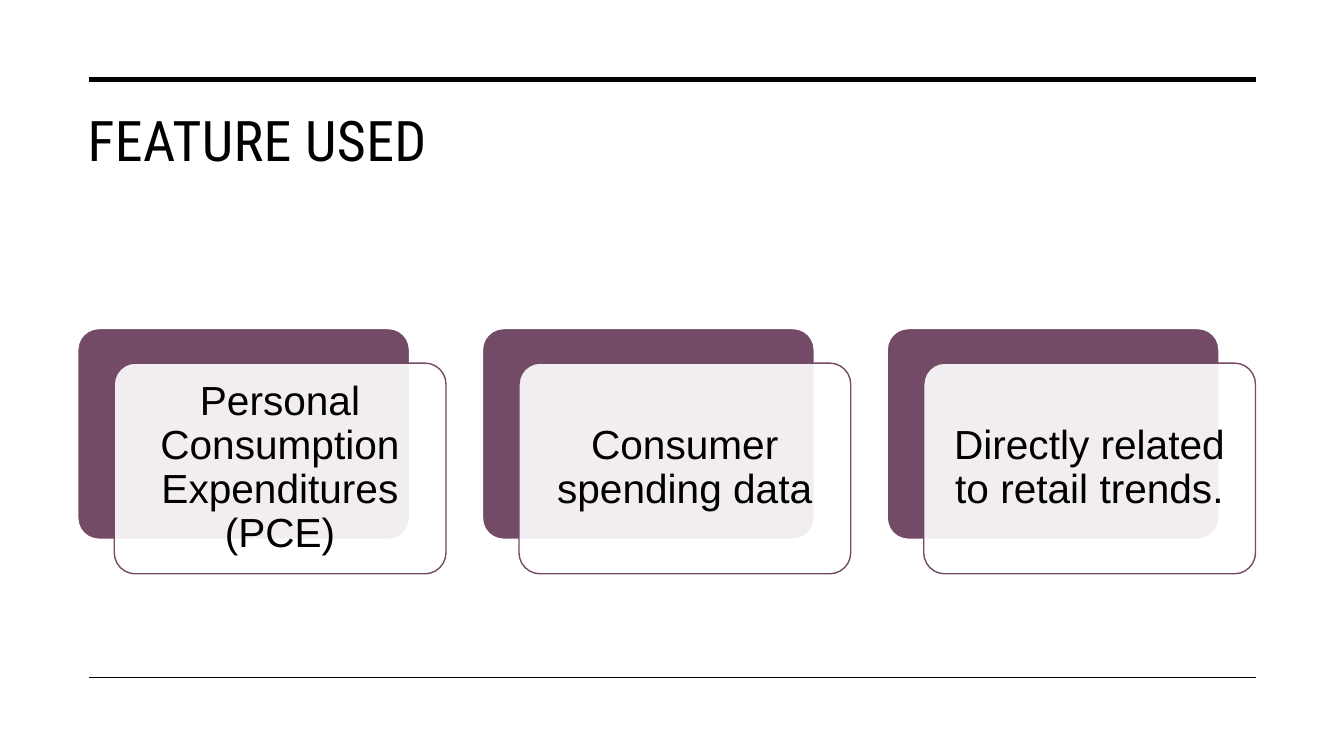
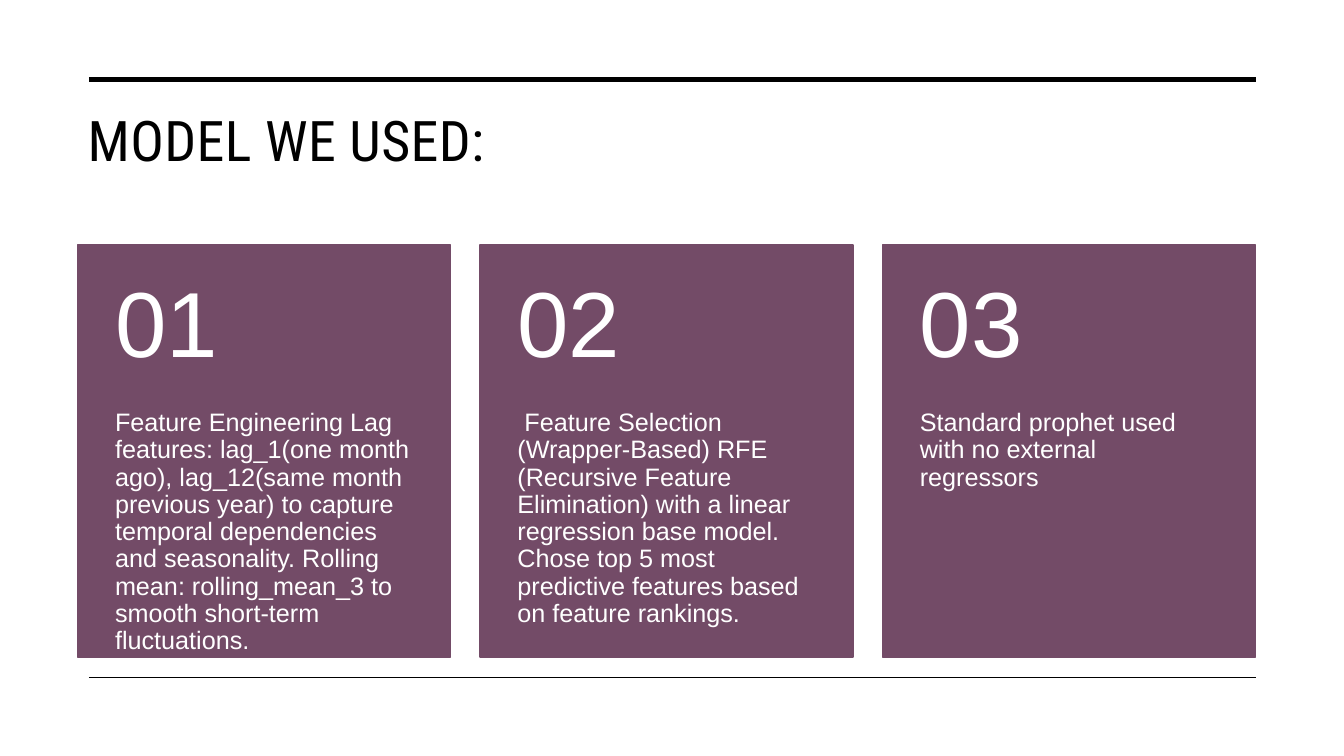
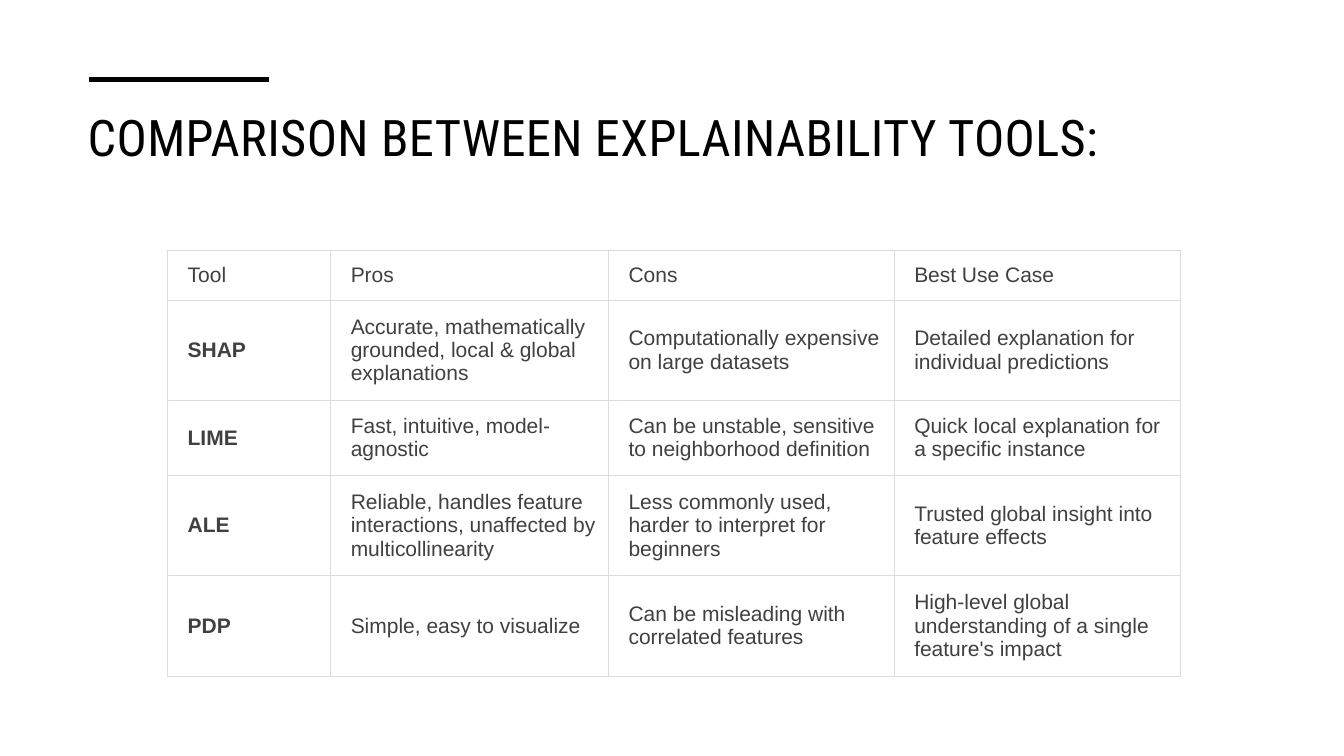
from dataclasses import dataclass

from lxml.etree import SubElement
from pptx import Presentation
from pptx.dml.color import RGBColor
from pptx.enum.shapes import MSO_CONNECTOR, MSO_SHAPE
from pptx.enum.text import MSO_ANCHOR, PP_ALIGN
from pptx.oxml.ns import qn
from pptx.util import Cm, Pt


@dataclass(frozen=True)
class Theme:
    plum: str = "734B67"
    black: str = "000000"
    white: str = "FFFFFF"
    gray: str = "404040"
    rule: str = "D8DEDC"
    head: str = "Roboto Condensed"
    body: str = "Arial"
    title: int = 40
    long: int = 36
    card: int = 29
    note: int = 18
    mark: int = 66
    cell: int = 15


THEME = Theme()
LEFT, RIGHT = 2.24, 31.65
EDGE = 1.96


def rgb(code):
    return RGBColor.from_string(code)


def apply(item, values):
    for name, value in values.items():
        setattr(item, name, value)


def inset(item, sides):
    """Set left, top, right and bottom margins in centimetres."""
    names = ("margin_left", "margin_top", "margin_right", "margin_bottom")
    apply(item, {name: Cm(side) for name, side in zip(names, sides)})


class Deck:
    def __init__(self, theme):
        self.theme = theme
        self.file = Presentation()
        apply(self.file, {"slide_width": Cm(33.87), "slide_height": Cm(19.05)})
        self.slide = None

    def page(self, title, size, end=RIGHT, foot=True):
        """Start a slide with its top rule, title and optional foot rule."""
        self.slide = self.file.slides.add_slide(self.file.slide_layouts[6])
        self.line(LEFT, end, 2, 3.5)
        if foot:
            self.line(LEFT, RIGHT, 17.07, 1)
        self.text((EDGE, 2.54, 30, 3), title, size, self.theme.black,
                  sides=(0.25, 0.13, 0.25, 0.13), face=self.theme.head, track=30)

    def line(self, start, end, top, width):
        rule = self.slide.shapes.add_connector(
            MSO_CONNECTOR.STRAIGHT, Cm(start), Cm(top), Cm(end), Cm(top))
        rule.line.color.rgb = rgb(self.theme.black)
        rule.line.width = Pt(width)
        SubElement(rule._element.spPr, qn("a:effectLst"))

    def words(self, frame, text, size, color, face=None, bold=False, track=0, **para):
        line = frame.paragraphs[0]
        apply(line, para)
        run = line.add_run()
        run.text = text
        apply(run.font, {"name": face or self.theme.body, "size": Pt(size), "bold": bold})
        run.font.color.rgb = rgb(color)
        if track:
            run._r.get_or_add_rPr().set("spc", str(track))

    def text(self, area, text, size, color, sides, anchor=MSO_ANCHOR.TOP, **style):
        frame = self.slide.shapes.add_textbox(*map(Cm, area)).text_frame
        apply(frame, {"word_wrap": True, "vertical_anchor": anchor})
        inset(frame, sides)
        self.words(frame, text, size, color, **style)

    def box(self, kind, area, fill, edge, alpha=None):
        shape = self.slide.shapes.add_shape(kind, *map(Cm, area))
        shape.shadow.inherit = False
        shape.fill.solid()
        shape.fill.fore_color.rgb = rgb(fill)
        shape.line.color.rgb = rgb(edge)
        shape.line.width = Pt(1)
        if kind == MSO_SHAPE.ROUNDED_RECTANGLE:
            shape.adjustments[0] = 0.1
        if alpha:
            tint = shape._element.spPr.find(qn("a:solidFill"))[0]
            SubElement(tint, qn("a:alpha"), val=str(alpha * 1000))
        return shape

    def card(self, left, text):
        """Draw a plum panel with a pale text panel shifted over it."""
        look, kind = self.theme, MSO_SHAPE.ROUNDED_RECTANGLE
        top, size = 8.28, (8.36, 5.31)
        self.box(kind, (left, top, *size), look.plum, look.white)
        front = self.box(kind, (left + 0.92, top + 0.87, *size),
                         look.white, look.plum, alpha=90)
        frame = front.text_frame
        apply(frame, {"word_wrap": True, "vertical_anchor": MSO_ANCHOR.MIDDLE})
        inset(frame, [0.3] * 4)
        self.words(frame, text, look.card, look.black,
                   alignment=PP_ALIGN.CENTER, line_spacing=0.9)

    def tile(self, left, mark, text):
        """Draw a plum block with a large number above its text."""
        look, top, width, split = self.theme, 6.17, 9.4, 4.16
        self.box(MSO_SHAPE.RECTANGLE, (left, top, width, 10.39), look.plum, look.plum)
        self.text((left, top + split, width, 6.23), text, look.note, look.white,
                  sides=(0.94, 0, 0.94, 0.91), line_spacing=0.9)
        self.text((left, top, width, split), mark, look.mark, look.white,
                  sides=(0.94, 0.46, 0.94, 0.46), anchor=MSO_ANCHOR.MIDDLE,
                  line_spacing=0.9)

    def table(self, left, top, widths, heights, rows):
        grid = self.slide.shapes.add_table(
            len(rows), len(widths), Cm(left), Cm(top),
            Cm(sum(widths)), Cm(sum(heights))).table
        apply(grid, {"first_row": False, "horz_banding": False})
        for column, width in zip(grid.columns, widths):
            column.width = Cm(width)
        for row, height in zip(grid.rows, heights):
            row.height = Cm(height)
        for r, row in enumerate(rows):
            for c, text in enumerate(row):
                self.cell(grid.cell(r, c), text, bold=r > 0 and c == 0)

    def cell(self, cell, text, bold):
        cell.vertical_anchor = MSO_ANCHOR.MIDDLE
        inset(cell, (0.51, 0.25, 0.23, 0.25))
        self.words(cell.text_frame, text, self.theme.cell, self.theme.gray, bold=bold)
        props = cell._tc.get_or_add_tcPr()
        for side in ("lnL", "lnR", "lnT", "lnB"):
            edge = SubElement(props, qn(f"a:{side}"), w=str(Pt(0.75)))
            fill = SubElement(edge, qn("a:solidFill"))
            SubElement(fill, qn("a:srgbClr"), val=self.theme.rule)
        cell.fill.background()


CARDS = (
    "Personal Consumption Expenditures (PCE)",
    "Consumer spending data",
    "Directly related to retail trends.",
)
TILES = (
    "Feature Engineering Lag features: lag_1(one month ago), lag_12(same month "
    "previous year) to capture temporal dependencies and seasonality. Rolling "
    "mean: rolling_mean_3 to smooth short-term fluctuations.",
    " Feature Selection (Wrapper-Based) RFE (Recursive Feature Elimination) with "
    "a linear regression base model. Chose top 5 most predictive features based "
    "on feature rankings.",
    "Standard prophet used with no external regressors",
)
TOOLS = (
    ("Tool", "Pros", "Cons", "Best Use Case"),
    ("SHAP", "Accurate, mathematically grounded, local & global explanations",
     "Computationally expensive on large datasets",
     "Detailed explanation for individual predictions"),
    ("LIME", "Fast, intuitive, model-agnostic",
     "Can be unstable, sensitive to neighborhood definition",
     "Quick local explanation for a specific instance"),
    ("ALE", "Reliable, handles feature interactions, unaffected by multicollinearity",
     "Less commonly used, harder to interpret for beginners",
     "Trusted global insight into feature effects"),
    ("PDP", "Simple, easy to visualize",
     "Can be misleading with correlated features",
     "High-level global understanding of a single feature's impact"),
)


def main():
    deck = Deck(THEME)

    deck.page("FEATURE USED", THEME.title)
    for i, text in enumerate(CARDS):
        deck.card(EDGE + i * 10.2, text)

    deck.page("MODEL WE USED:", THEME.title)
    for i, text in enumerate(TILES):
        deck.tile(EDGE + i * 10.14, f"{i + 1:02}", text)

    deck.page("COMPARISON BETWEEN EXPLAINABILITY TOOLS:", THEME.long, end=6.78, foot=False)
    deck.table(4.22, 6.32, (4.11, 7, 7.2, 7.22), (1.24, 2.53, 1.89, 2.53, 2.53), TOOLS)

    deck.file.save("out.pptx")


if __name__ == "__main__":
    main()
